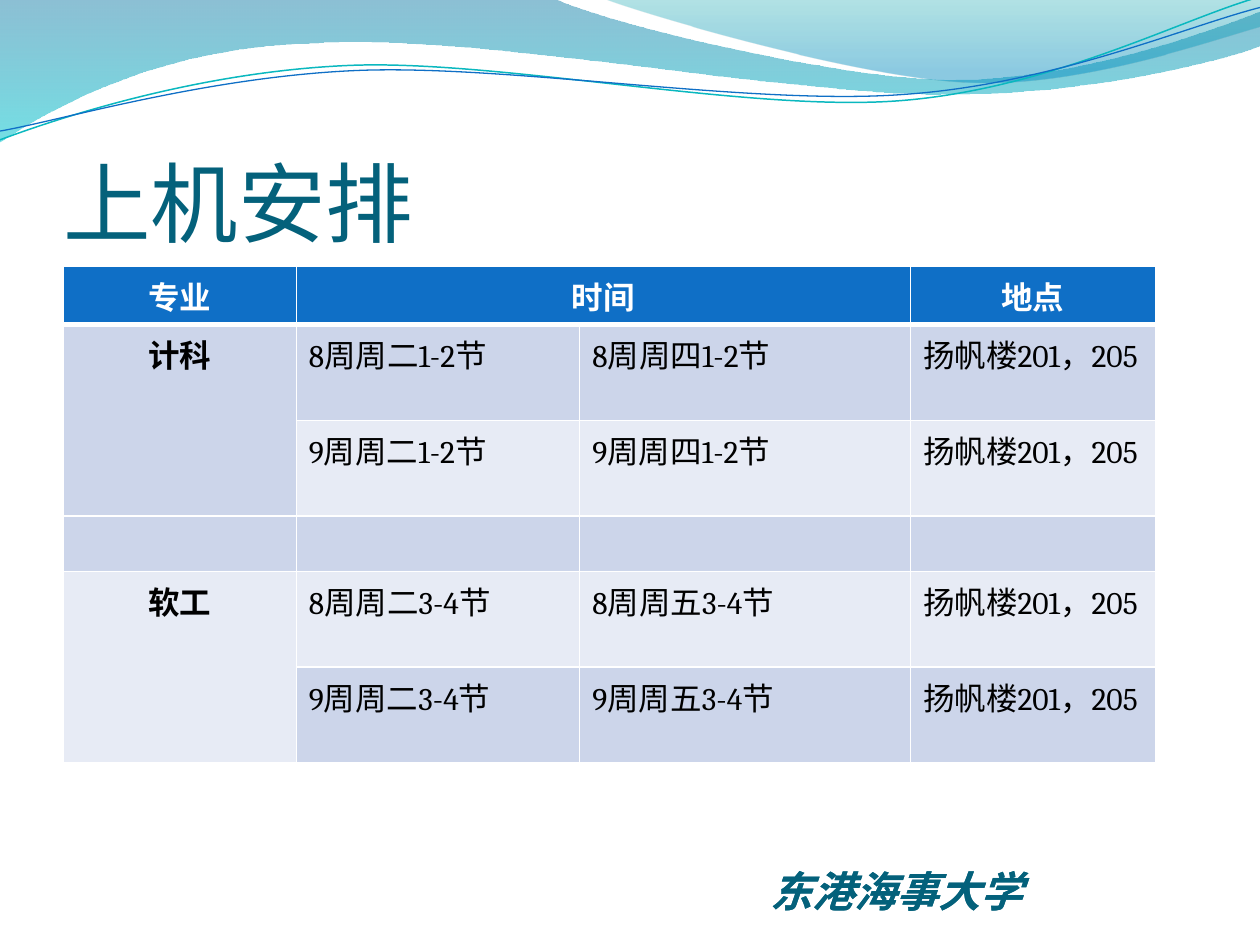
import math
from dataclasses import dataclass
from typing import Optional

from lxml import etree
from pptx import Presentation
from pptx import util as u
from pptx.dml.color import RGBColor
from pptx.enum import text
from pptx.oxml.ns import qn

TEAL = RGBColor(0x04, 0x61, 0x7B)
BLUE = RGBColor(0x0F, 0x6F, 0xC6)
CYAN = RGBColor(0x0A, 0xB8, 0xBF)
BAND_DARK = RGBColor(0xCC, 0xD5, 0xEA)
BAND_LIGHT = RGBColor(0xE7, 0xEB, 0xF5)
WHITE = RGBColor(0xFF, 0xFF, 0xFF)
BLACK = RGBColor(0, 0, 0)


@dataclass
class Stop:
    position: float
    color: RGBColor
    opacity: int


@dataclass
class Wave:
    """Outline in points: a pair is a corner, six numbers are a Bezier curve."""
    start: tuple
    segments: list
    stops: Optional[list] = None
    line: Optional[RGBColor] = None
    width: float = 0
    tilt: float = 0
    center: tuple = (0, 0)


@dataclass
class Entry:
    row: int
    column: int
    words: str
    heading: bool = False


WAVES = [
    Wave((0, 0), [
        (316.8, -0.7),
        (342.7, 12.2, 478.1, 45.4, 545.8, 45.4),
        (614.2, 45.4, 689.8, 18.7, 720, 6.5),
        (720.7, 25.9),
        (707.8, 31.7, 626.4, 54.7, 537.1, 54),
        (447.8, 54, 275, 20.2, 185, 24.5),
        (92.9, 25.9, 33.1, 59.8, -0.7, 81.4),
    ], stops=[Stop(0, RGBColor(0x00, 0x74, 0xA1), 45),
              Stop(1, RGBColor(0x00, 0xC6, 0xCF), 55)]),
    Wave((344.9, -0.7), [
        (366.5, 7.9, 491, 44.6, 553.7, 46.8),
        (616.3, 49.7, 691.9, 23, 720, 15.1),
        (720, 0),
    ], stops=[Stop(0, RGBColor(0x00, 0xA1, 0xA9), 30),
              Stop(0.8, RGBColor(0x00, 0x8B, 0xBF), 45)]),
    Wave((0, 79.9), [
        (34.6, 67, 113.8, 41, 199.4, 37.4),
        (284.4, 33.8, 427, 64.1, 513.4, 57.6),
        (599.8, 51.1, 675.4, 10.8, 718.6, -1.4),
    ], line=CYAN, width=0.85, tilt=-2.7, center=(359.3, 41.4)),
    Wave((0, 74.9), [
        (33.8, 69.1, 118.1, 43.9, 203.8, 40.3),
        (290.2, 36.7, 429.8, 60.5, 516.2, 54),
        (601.9, 48.2, 677.5, 15.1, 720, 4.3),
    ], line=BLUE, width=0.75, tilt=-2.7, center=(359.6, 42.5)),
]

COLUMN_WIDTHS = [133, 162, 189, 140]
ROW_HEIGHTS = [33.2, 54.7, 54.7, 31.7, 54.7, 54.7]
MERGES = [((0, 1), (0, 2)), ((1, 0), (2, 0)), ((4, 0), (5, 0))]

# Each major: first row, name, class hours, second weekday
MAJORS = [(1, "计科", "1-2", "四"), (4, "软工", "3-4", "五")]


def untilted(point: tuple, wave: Wave) -> tuple:
    """Place a point as it lies before the shape is rotated."""
    angle = math.radians(-wave.tilt)
    dx, dy = point[0] - wave.center[0], point[1] - wave.center[1]
    x = wave.center[0] + dx * math.cos(angle) - dy * math.sin(angle)
    y = wave.center[1] + dx * math.sin(angle) + dy * math.cos(angle)
    return u.Pt(x), u.Pt(y)


def bend(shape, segments: list) -> None:
    """Join each three lines that stand for a curve into one Bezier."""
    lines = iter(list(shape.element.iter(qn("a:lnTo"))))
    for segment in segments:
        first = next(lines)
        if len(segment) == 2:
            continue
        curve = etree.Element(qn("a:cubicBezTo"))
        first.addprevious(curve)
        for line in (first, next(lines), next(lines)):
            curve.append(line[0])
            line.getparent().remove(line)


def draw_wave(slide, wave: Wave) -> None:
    points = [wave.start]
    for segment in wave.segments:
        points += zip(segment[::2], segment[1::2])
    points = [untilted(point, wave) for point in points]
    builder = slide.shapes.build_freeform(*points[0], scale=1.0)
    builder.add_line_segments(points[1:], close=False)
    shape = builder.convert_to_shape()
    bend(shape, wave.segments)
    shape.shadow.inherit = False
    if wave.stops is None:
        shape.rotation = wave.tilt
        shape.fill.background()
        shape.line.color.rgb = wave.line
        shape.line.width = u.Pt(wave.width)
        return
    outline = next(shape.element.iter(qn("a:path")))
    etree.SubElement(outline, qn("a:close"))
    shape.line.fill.background()
    shape.fill.gradient()
    shape.fill.gradient_angle = 270
    for target, stop in zip(shape.fill.gradient_stops, wave.stops):
        target.color.rgb = stop.color
        target.position = stop.position
    for color, stop in zip(shape.element.spPr.iter(qn("a:srgbClr")), wave.stops):
        etree.SubElement(color, qn("a:alpha"), val=str(stop.opacity * 1000))


def add_run(paragraph, words: str, size: float, font: str, color: RGBColor,
            bold: bool = False, italic: bool = False) -> None:
    run = paragraph.add_run()
    run.text = words
    run.font.size = u.Pt(size)
    run.font.name = font
    run.font.color.rgb = color
    run.font.bold = bold
    run.font.italic = italic


def style_cell(cell, fill: RGBColor, bottom_width: float) -> None:
    cell.fill.solid()
    cell.fill.fore_color.rgb = fill
    properties = cell._tc.get_or_add_tcPr()
    widths = {"a:lnL": 1, "a:lnR": 1, "a:lnT": 1, "a:lnB": bottom_width}
    for index, (tag, width) in enumerate(widths.items()):
        border = etree.Element(qn(tag), w=str(u.Pt(width)))
        solid = etree.SubElement(border, qn("a:solidFill"))
        etree.SubElement(solid, qn("a:srgbClr"), val=str(WHITE))
        properties.insert(index, border)


def timetable_entries() -> list:
    entries = [Entry(0, 0, "专业", True), Entry(0, 1, "时间", True),
               Entry(0, 3, "地点", True)]
    for first_row, name, hours, weekday in MAJORS:
        entries.append(Entry(first_row, 0, name, True))
        for row, week in enumerate((8, 9), first_row):
            entries += [Entry(row, 1, f"{week}周周二{hours}节"),
                        Entry(row, 2, f"{week}周周{weekday}{hours}节"),
                        Entry(row, 3, "扬帆楼201，205")]
    return entries


def draw_timetable(slide) -> None:
    table = slide.shapes.add_table(
        len(ROW_HEIGHTS), len(COLUMN_WIDTHS), u.Pt(36.3), u.Pt(152.3),
        u.Pt(sum(COLUMN_WIDTHS)), u.Pt(sum(ROW_HEIGHTS))).table
    for column, width in zip(table.columns, COLUMN_WIDTHS):
        column.width = u.Pt(width)
    for index, (row, height) in enumerate(zip(table.rows, ROW_HEIGHTS)):
        row.height = u.Pt(height)
        band = BAND_DARK if index % 2 else BAND_LIGHT
        for cell in row.cells:
            style_cell(cell, band if index else BLUE, 1 if index else 3)
    for first, last in MERGES:
        table.cell(*first).merge(table.cell(*last))
    for entry in timetable_entries():
        paragraph = table.cell(entry.row, entry.column).text_frame.paragraphs[0]
        if entry.heading:
            paragraph.alignment = text.PP_ALIGN.CENTER
        add_run(paragraph, entry.words, 18, "Cambria",
                BLACK if entry.row else WHITE, bold=entry.heading)


presentation = Presentation()
presentation.slide_width, presentation.slide_height = u.Pt(720), u.Pt(540)
slide = presentation.slides.add_slide(presentation.slide_layouts[5])

# Wave decoration
for wave in WAVES:
    draw_wave(slide, wave)

# School name, laid twice for a heavier weight
for layer in range(2):
    school = slide.shapes.add_textbox(u.Pt(433.4), u.Pt(491), u.Pt(226.8), u.Pt(36.7))
    school.text_frame.word_wrap = True
    add_run(school.text_frame.paragraphs[0], "东港海事大学", 24, "Arial", TEAL, True, True)

# Title
title = slide.shapes.title
title.left, title.top, title.width, title.height = map(u.Pt, (36, 55.4, 648, 90))
frame = title.text_frame
frame.auto_size = text.MSO_AUTO_SIZE.NONE
frame.vertical_anchor = text.MSO_ANCHOR.BOTTOM
frame.margin_left = frame.margin_right = frame.margin_bottom = 0
frame.margin_top = u.Pt(3.6)
frame.paragraphs[0].alignment = text.PP_ALIGN.LEFT
add_run(frame.paragraphs[0], "上机安排", 50, "Calibri", TEAL)

# Timetable
draw_timetable(slide)
presentation.save("out.pptx")
